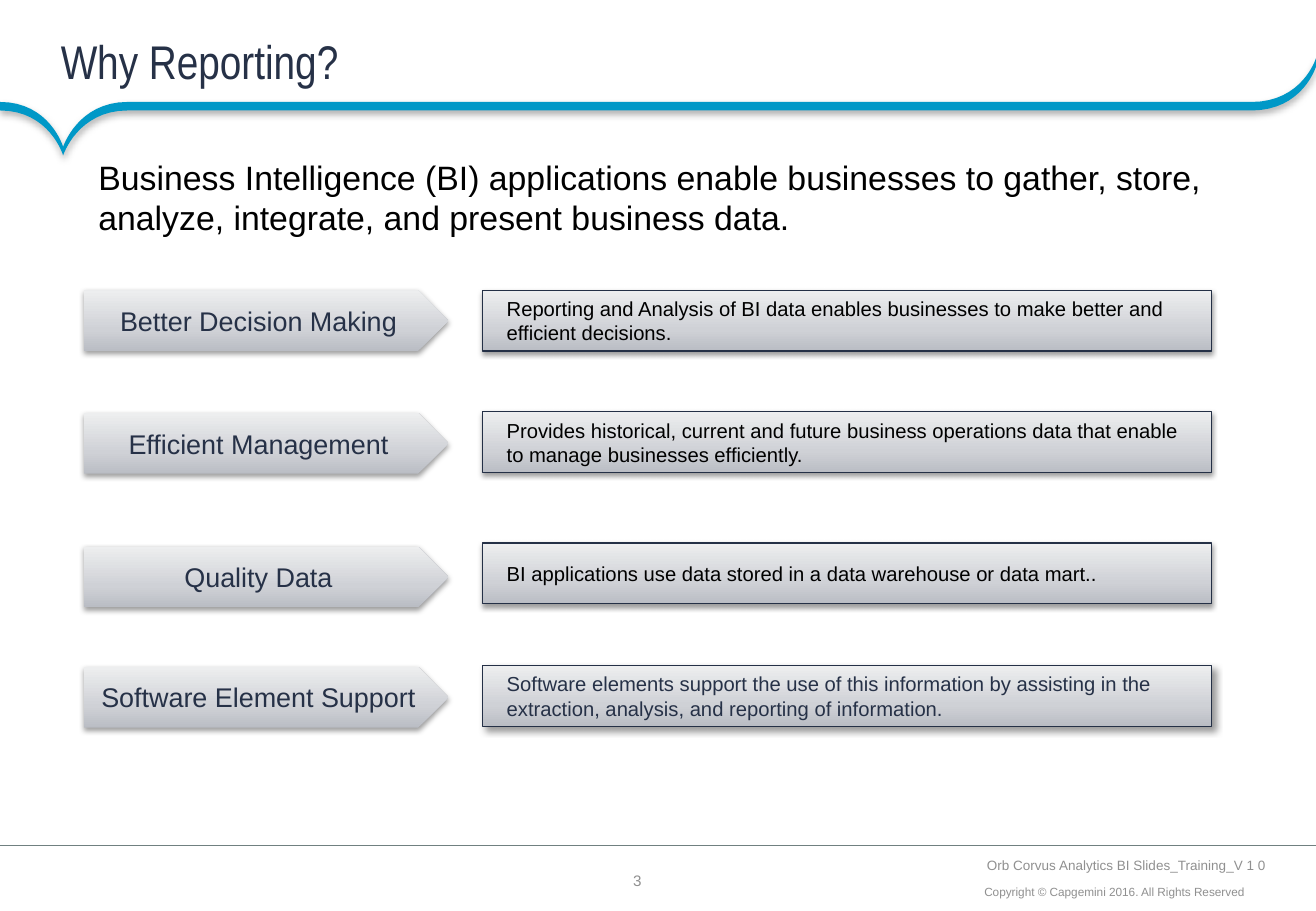
from lxml.etree import SubElement
from pptx import Presentation
from pptx.dml.color import RGBColor
from pptx.enum.shapes import MSO_CONNECTOR, MSO_SHAPE
from pptx.enum.text import MSO_ANCHOR, MSO_AUTO_SIZE, PP_ALIGN
from pptx.oxml.ns import qn
from pptx.util import Inches, Pt

W, H = 10.83, 7.5
NAVY, BLACK, GREY, BLUE = "263147", "000000", "909090", "0098C7"
RULE, EDGE = "708080", "243046"
SILVER = [(0, "BABDC4"), (35, "CFD1D6"), (100, "EDEEEF")]

# Shadows: opacity in percent, blur and distance in points, angle in degrees
BELOW, DIAGONAL, BAND = (38, 3.1, 1.6, 90), (40, 4, 3, 45), (31, 4, 2, 90)

TITLE = "Why Reporting?"
INTRO = ("Business Intelligence (BI) applications enable businesses to gather, "
         "store, analyze, integrate, and present business data.")
# label, label top, explanation, explanation top, text colour, shadow
REASONS = [
    ("Better Decision Making", 2.39,
     "Reporting and Analysis of BI data enables businesses to make better "
     "and efficient decisions.", 2.39, BLACK, BELOW),
    ("Efficient Management", 3.4,
     "Provides historical, current and future business operations data that "
     "enable to manage businesses efficiently.", 3.39, BLACK, BELOW),
    ("Quality Data", 4.5,
     "BI applications use data stored in a data warehouse or data mart..",
     4.47, BLACK, BELOW),
    ("Software Element Support", 5.49,
     "Software elements support the use of this information by assisting in "
     "the extraction, analysis, and reporting of information.",
     5.48, NAVY, DIAGONAL),
]
# text, box, size, alignment, anchor, inset
FOOTER = [
    ("3", (5.07, 7.17, 0.35, 0.15), 9, PP_ALIGN.CENTER, MSO_ANCHOR.MIDDLE, 0),
    ("Copyright © Capgemini 2016. All Rights Reserved",
     (7.16, 7.24, 3.12, 0.2), 7, PP_ALIGN.RIGHT, MSO_ANCHOR.BOTTOM, 0.04),
    ("Orb Corvus Analytics BI Slides_Training_V 1 0",
     (6.96, 7.03, 3.5, 0.2), 8, PP_ALIGN.RIGHT, MSO_ANCHOR.BOTTOM, 0.04),
]
# Bends of the band's upper edge: flat end, control point, tip
BAND_Y, BAND_THICK = 0.84, 0.07
NOTCH_LEFT = ((0, BAND_Y), (0.41, BAND_Y), (0.52, 1.21))
NOTCH_RIGHT = ((1.05, BAND_Y), (0.64, BAND_Y), (0.52, 1.21))
RIGHT_END = ((10.3, BAND_Y), (10.72, BAND_Y), (W, 0.48))


def rgb(color):
    return RGBColor.from_string(color)


def box(left, top, width, height):
    return [Inches(v) for v in (left, top, width, height)]


def write(s, text, size, color, align, anchor, insets, font="Arial"):
    """Fill a shape's frame with one paragraph; insets are horizontal, vertical."""
    tf = s.text_frame
    tf.word_wrap, tf.auto_size = True, MSO_AUTO_SIZE.NONE
    tf.vertical_anchor = anchor
    tf.margin_left = tf.margin_right = Inches(insets[0])
    tf.margin_top = tf.margin_bottom = Inches(insets[1])
    p = tf.paragraphs[0]
    p.text, p.alignment = text, align
    p.space_before = Pt(0)
    p.font.size, p.font.name = Pt(size), font
    p.font.color.rgb = rgb(color)
    return p


def cast_shadow(s, opacity, blur, dist, angle):
    s.shadow.inherit = False
    effects = s._element.spPr.find(qn("a:effectLst"))
    shadow = SubElement(effects, qn("a:outerShdw"), blurRad=str(Pt(blur)),
                        dist=str(Pt(dist)), dir=str(angle * 60000),
                        algn="ctr", rotWithShape="0")
    color = SubElement(shadow, qn("a:srgbClr"), val=BLACK)
    SubElement(color, qn("a:alpha"), val=str(opacity * 1000))


def add_silver(shapes, kind, bounds, shadow):
    s = shapes.add_shape(kind, *box(*bounds))
    s.fill.gradient()
    s.fill.gradient_angle = 90
    stops = s._element.spPr.find(qn("a:gradFill")).find(qn("a:gsLst"))
    stops.clear()
    for pos, color in SILVER:
        stop = SubElement(stops, qn("a:gs"), pos=str(pos * 1000))
        SubElement(stop, qn("a:srgbClr"), val=color)
    cast_shadow(s, *shadow)
    return s


def bend(flat, control, tip, steps=16):
    """Points of a cubic curve whose second control point is its tip."""
    for i in range(steps + 1):
        t = i / steps
        a, b = (1 - t) ** 3, 3 * t * (1 - t) ** 2
        yield tuple(a * f + b * c + (1 - a - b) * e
                    for f, c, e in zip(flat, control, tip))


def add_band(shapes):
    upper = [*bend(*NOTCH_LEFT), *reversed([*bend(*NOTCH_RIGHT)]),
             *bend(*RIGHT_END)]
    lower = [(x, y + BAND_THICK) for x, y in reversed(upper)]
    points = [(Inches(x), Inches(y)) for x, y in upper + lower]
    builder = shapes.build_freeform(*points[0])
    builder.add_line_segments(points[1:], close=True)
    s = builder.convert_to_shape()
    s.fill.solid()
    s.fill.fore_color.rgb = rgb(BLUE)
    s.line.fill.background()
    cast_shadow(s, *BAND)


def add_rule(shapes, y):
    line = shapes.add_connector(MSO_CONNECTOR.STRAIGHT, Inches(W), Inches(y),
                                0, Inches(y))
    line.line.color.rgb, line.line.width = rgb(RULE), Pt(0.75)
    SubElement(line._element.spPr, qn("a:effectLst"))


def place(s, bounds):
    s.left, s.top, s.width, s.height = box(*bounds)


def main():
    prs = Presentation()
    prs.slide_width, prs.slide_height = Inches(W), Inches(H)
    slide = prs.slides.add_slide(prs.slide_layouts[1])
    shapes = slide.shapes

    add_band(shapes)
    add_rule(shapes, 6.96)
    for text, bounds, size, align, anchor, inset in FOOTER:
        write(shapes.add_textbox(*box(*bounds)), text, size, GREY, align,
              anchor, (inset, inset))

    title, body = shapes.title, slide.placeholders[1]
    place(title, (0, 0, W, 1))
    write(title, TITLE, 28, NAVY, PP_ALIGN.LEFT, MSO_ANCHOR.MIDDLE, (0.5, 0),
          "Arial Narrow")
    place(body, (0.41, 1.24, 10, 0.77))
    p = write(body, INTRO, 20, BLACK, PP_ALIGN.LEFT, MSO_ANCHOR.TOP, (0.1, 0.05))
    pPr = p._p.get_or_add_pPr()
    pPr.set("marL", str(Inches(0.3)))
    pPr.set("indent", "0")
    pPr.insert_element_before(pPr.makeelement(qn("a:buNone"), {}),
                              "a:tabLst", "a:defRPr", "a:extLst")

    for label, label_top, detail, detail_top, color, shadow in REASONS:
        s = add_silver(shapes, MSO_SHAPE.PENTAGON, (0.69, label_top, 3, 0.5), BELOW)
        s.line.fill.background()
        write(s, label, 16, NAVY, PP_ALIGN.CENTER, MSO_ANCHOR.MIDDLE, (0.1, 0.05))
        s = add_silver(shapes, MSO_SHAPE.RECTANGLE, (3.97, detail_top, 6, 0.5), shadow)
        s.line.color.rgb, s.line.width = rgb(EDGE), Pt(0.75)
        write(s, detail, 12, color, PP_ALIGN.LEFT, MSO_ANCHOR.MIDDLE, (0.2, 0.1))

    prs.save("out.pptx")


if __name__ == "__main__":
    main()
